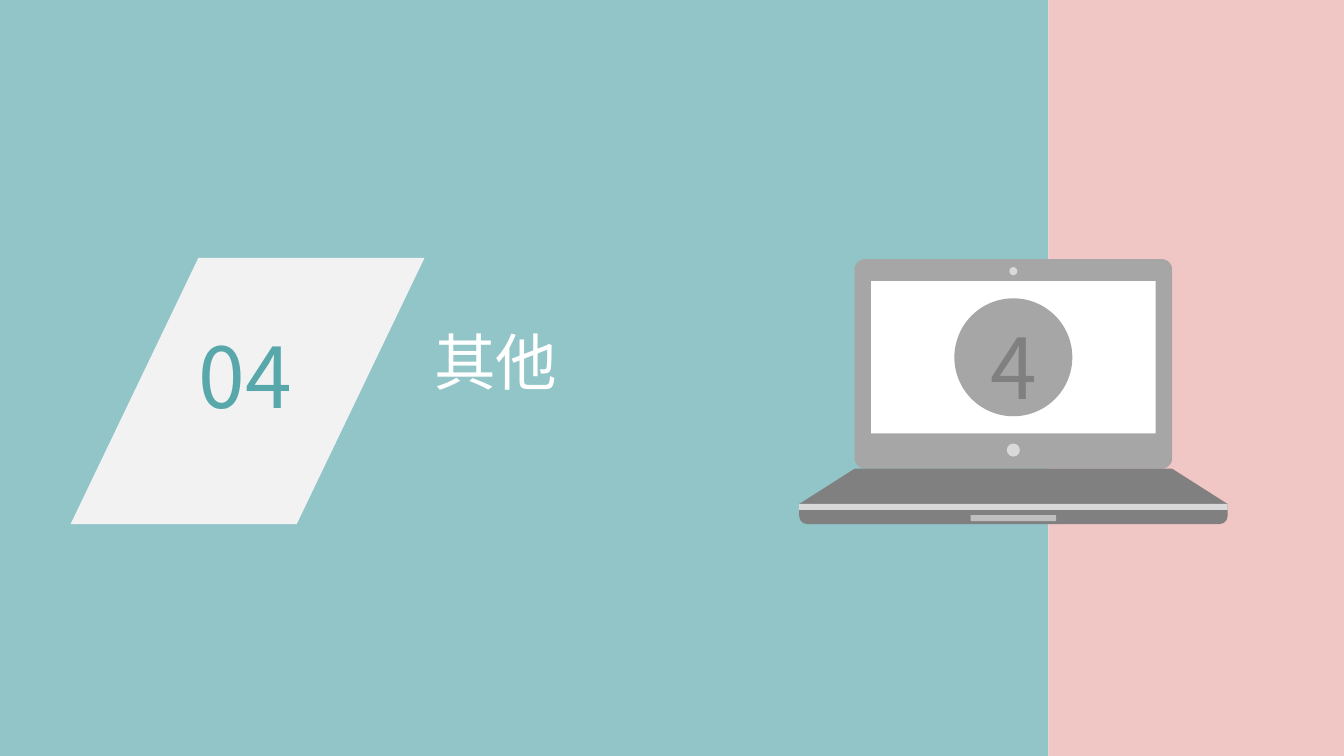
from pptx import Presentation
from pptx.dml.color import RGBColor
from pptx.enum.shapes import MSO_SHAPE
from pptx.enum.text import MSO_AUTO_SIZE, PP_ALIGN
from pptx.util import Inches, Pt

WIDTH, HEIGHT = 13.33, 7.5
SPLIT = 0.78 * WIDTH
LAPTOP_CENTER = 0.754 * WIDTH
LID_TOP, LID_BOTTOM, DECK_BOTTOM = 2.57, 4.65, 5
BASE_WIDTH, LID_WIDTH = 4.25, 3.15
NUMBER_FONT = "Noto Sans CJK SC"


def color(value):
    """Turn a hex string into a colour."""
    return RGBColor.from_string(value)


def add_block(slide, kind, left, top, width, height, fill, adjustments=()):
    """Add a flat shape without outline or shadow."""
    shape = slide.shapes.add_shape(
        kind, Inches(left), Inches(top), Inches(width), Inches(height))
    for index, adjustment in enumerate(adjustments):
        shape.adjustments[index] = adjustment
    shape.shadow.inherit = False
    shape.fill.solid()
    shape.fill.fore_color.rgb = color(fill)
    shape.line.fill.background()


def add_laptop_part(slide, kind, top, width, height, fill, adjustments=()):
    """Add a shape centred on the laptop's axis."""
    add_block(slide, kind, LAPTOP_CENTER - width / 2, top, width, height,
              fill, adjustments)


def add_label(slide, text, left, top, width, height, size, font, fill, align):
    """Add a one-line text box."""
    box = slide.shapes.add_textbox(
        Inches(left), Inches(top), Inches(width), Inches(height))
    frame = box.text_frame
    frame.text = text
    frame.word_wrap = True
    frame.auto_size = MSO_AUTO_SIZE.SHAPE_TO_FIT_TEXT
    paragraph = frame.paragraphs[0]
    paragraph.alignment = align
    run = paragraph.runs[0]
    run.font.size = Pt(size)
    run.font.name = font
    run.font.color.rgb = color(fill)


def add_number(slide, text, center, top, fill):
    """Add a large centred number."""
    width = 1.85
    add_label(slide, text, center - width / 2, top, width, 1.11, 60,
              NUMBER_FONT, fill, PP_ALIGN.CENTER)


def add_laptop(slide):
    """Draw the laptop from its lid down to its base."""
    add_laptop_part(slide, MSO_SHAPE.ROUNDED_RECTANGLE, LID_TOP, LID_WIDTH,
                    LID_BOTTOM - LID_TOP, "A6A6A6", [0.05])
    add_laptop_part(slide, MSO_SHAPE.RECTANGLE, 2.79, 2.82, 1.51, "FFFFFF")
    for top, diameter in ((2.65, 0.08), (4.4, 0.13)):
        add_laptop_part(slide, MSO_SHAPE.OVAL, top, diameter, diameter, "D9D9D9")
    deck_height = DECK_BOTTOM - LID_BOTTOM
    slant = (BASE_WIDTH - LID_WIDTH) / 2 / deck_height
    add_laptop_part(slide, MSO_SHAPE.TRAPEZOID, LID_BOTTOM, BASE_WIDTH,
                    deck_height, "808080", [slant])
    add_laptop_part(slide, MSO_SHAPE.ROUND_2_SAME_RECTANGLE, DECK_BOTTOM,
                    BASE_WIDTH, 0.2, "808080", [0, 0.4])
    add_laptop_part(slide, MSO_SHAPE.ROUNDED_RECTANGLE, 5.11, 0.85, 0.06, "BFBFBF")
    add_laptop_part(slide, MSO_SHAPE.RECTANGLE, DECK_BOTTOM, BASE_WIDTH, 0.06,
                    "D9D9D9")
    add_laptop_part(slide, MSO_SHAPE.OVAL, 2.96, 1.17, 1.17, "A6A6A6")
    add_number(slide, "4", LAPTOP_CENTER, 3.08, "808080")


def main():
    """Build the section slide."""
    presentation = Presentation()
    presentation.slide_width = Inches(WIDTH)
    presentation.slide_height = Inches(HEIGHT)
    slide = presentation.slides.add_slide(presentation.slide_layouts[6])
    add_block(slide, MSO_SHAPE.RECTANGLE, 0, 0, SPLIT, HEIGHT, "91C5C8")
    add_block(slide, MSO_SHAPE.PARALLELOGRAM, 0.7, 2.56, 3.51, 2.64, "F2F2F2",
              [0.48])
    add_number(slide, "04", 2.43, 3.17, "58A7AB")
    add_block(slide, MSO_SHAPE.RECTANGLE, SPLIT, 0, WIDTH - SPLIT, HEIGHT, "F0C7C5")
    add_label(slide, "其他", 4.21, 3.16, 7.36, 0.84, 44, "Arial", "FFFFFF",
              PP_ALIGN.LEFT)
    add_laptop(slide)
    presentation.save("out.pptx")


if __name__ == "__main__":
    main()
